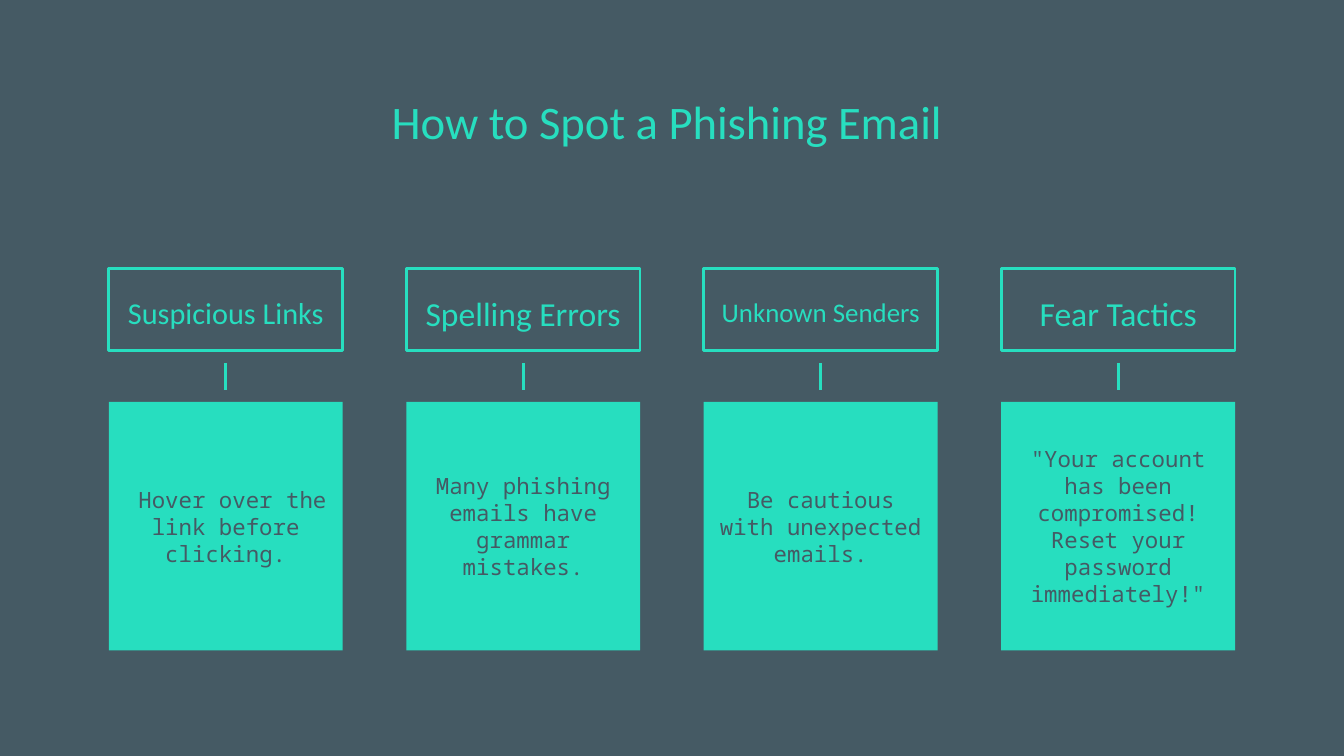
"""Build a slide with four signs of a phishing email."""

from dataclasses import dataclass

from lxml.etree import SubElement
from pptx import Presentation
from pptx.dml.color import RGBColor
from pptx.enum.shapes import MSO_CONNECTOR, MSO_SHAPE
from pptx.enum.text import MSO_ANCHOR, MSO_AUTO_SIZE, PP_ALIGN
from pptx.oxml.ns import qn
from pptx.shapes.autoshape import Shape
from pptx.slide import Slide
from pptx.util import Inches, Pt

SLATE = RGBColor(0x45, 0x5A, 0x64)
MINT = RGBColor(0x27, 0xDE, 0xBF)
HEADING_FONT = "Calibri"
BODY_FONT = "Noto Sans Mono"

LEFT, RIGHT, WIDTH = 0.81, 9.19, 1.74
HEADING_TOP, HEADING_HEIGHT = 2.0, 0.61
LINK_TOP, LINK_BOTTOM = 2.7, 2.9
BODY_TOP, BODY_HEIGHT = 2.99, 1.85
LINE_WIDTH = Pt(1.5)


@dataclass(frozen=True)
class Sign:
    heading: str
    size: float
    advice: str


SIGNS = [
    Sign("Suspicious Links", 16.2, " Hover over the link before clicking."),
    Sign("Spelling Errors", 18, "Many phishing emails have grammar mistakes."),
    Sign("Unknown Senders", 14.4, "Be cautious with unexpected emails."),
    Sign("Fear Tactics", 18,
         '"Your account has been compromised! Reset your password immediately!"'),
]


def set_text(sp: Shape, text: str, font: str, size: float, color: RGBColor) -> None:
    """Write one centred paragraph in a shape."""
    tf = sp.text_frame
    tf.word_wrap = True
    tf.auto_size = MSO_AUTO_SIZE.NONE
    tf.vertical_anchor = MSO_ANCHOR.MIDDLE
    tf.margin_left = tf.margin_right = tf.margin_top = tf.margin_bottom = Inches(0.1)
    tf.text = text
    p = tf.paragraphs[0]
    p.alignment = PP_ALIGN.CENTER
    p.font.name = font
    p.font.size = Pt(size)
    p.font.color.rgb = color


def add_box(s: Slide, x: float, y: float, height: float) -> Shape:
    """Add a column-wide rectangle without a shadow."""
    sp = s.shapes.add_shape(
        MSO_SHAPE.RECTANGLE, Inches(x), Inches(y), Inches(WIDTH), Inches(height)
    )
    sp.shadow.inherit = False
    return sp


def add_heading(s: Slide, x: float, sign: Sign) -> None:
    """Add the outlined heading of a sign."""
    sp = add_box(s, x, HEADING_TOP, HEADING_HEIGHT)
    sp.fill.background()
    sp.line.color.rgb = MINT
    sp.line.width = LINE_WIDTH
    set_text(sp, sign.heading, HEADING_FONT, sign.size, MINT)
    p = sp.text_frame.paragraphs[0]
    p.line_spacing = 1.15
    p.space_after = Pt(12)


def add_advice(s: Slide, x: float, sign: Sign) -> None:
    """Add the filled advice box of a sign."""
    sp = add_box(s, x, BODY_TOP, BODY_HEIGHT)
    sp.fill.solid()
    sp.fill.fore_color.rgb = MINT
    sp.line.fill.background()
    set_text(sp, sign.advice, BODY_FONT, 12, SLATE)


def add_link(s: Slide, x: float) -> None:
    """Add the short line between heading and advice."""
    line = s.shapes.add_connector(
        MSO_CONNECTOR.STRAIGHT,
        Inches(x), Inches(LINK_TOP), Inches(x), Inches(LINK_BOTTOM),
    )
    line.line.color.rgb = MINT
    line.line.width = LINE_WIDTH
    SubElement(line._element.spPr, qn("a:effectLst"))


def main() -> None:
    """Build and save the presentation."""
    prs = Presentation()
    prs.slide_width = Inches(10)
    prs.slide_height = prs.slide_width * 9 // 16
    s = prs.slides.add_slide(prs.slide_layouts[5])
    s.background.fill.solid()
    s.background.fill.fore_color.rgb = SLATE

    title = s.shapes.title
    title.left, title.top = Inches(0.78), Inches(0.59)
    title.width, title.height = Inches(8.44), Inches(0.62)
    set_text(title, "How to Spot a Phishing Email ", HEADING_FONT, 25, MINT)

    pitch = (RIGHT - WIDTH - LEFT) / (len(SIGNS) - 1)
    for i, sign in enumerate(SIGNS):
        x = LEFT + i * pitch
        add_heading(s, x, sign)
        add_link(s, x + WIDTH / 2)
        add_advice(s, x, sign)

    prs.save("out.pptx")


if __name__ == "__main__":
    main()
